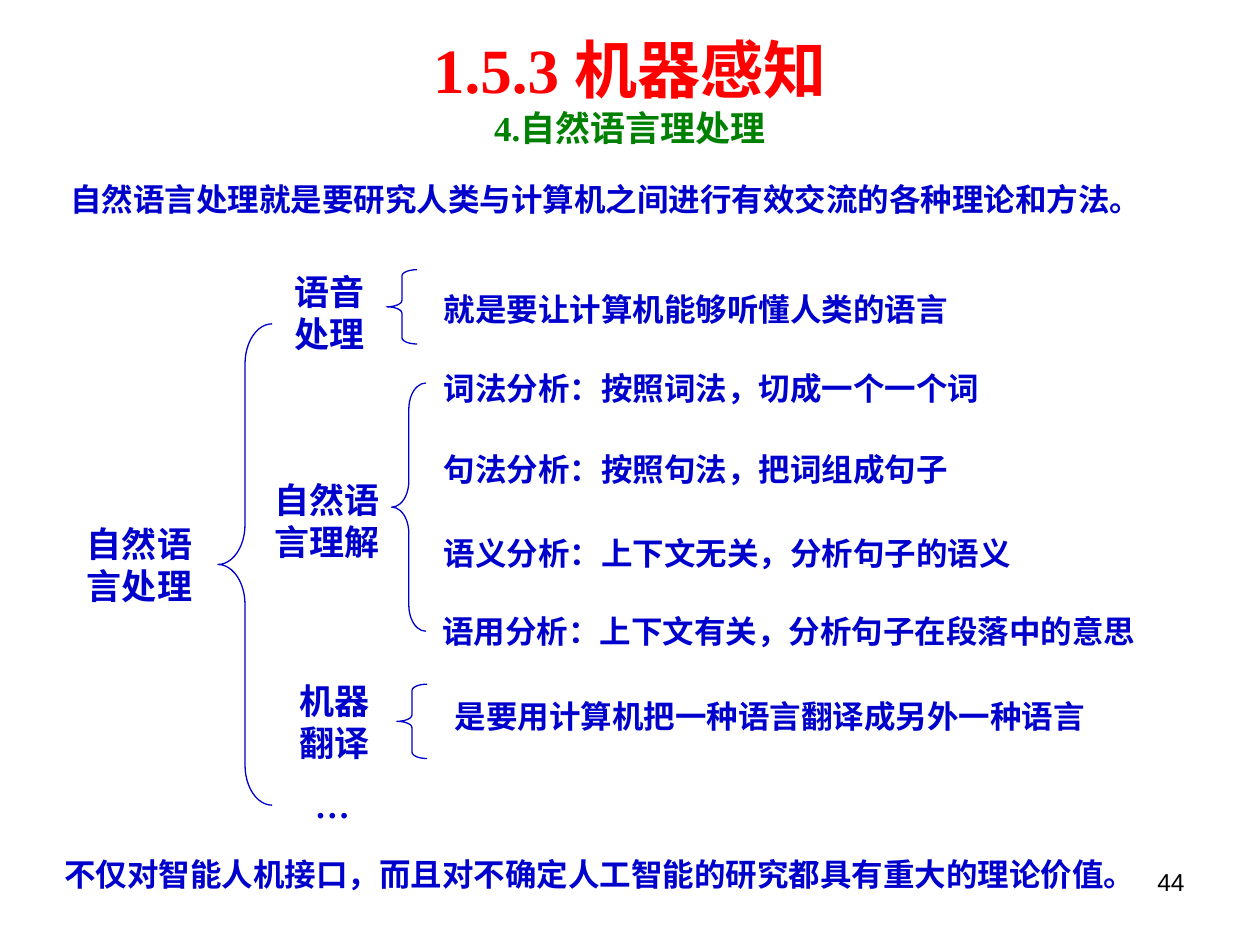
from pptx import Presentation
from pptx.dml.color import RGBColor
from pptx.enum.shapes import MSO_SHAPE
from pptx.enum.text import MSO_ANCHOR, MSO_AUTO_SIZE, PP_ALIGN
from pptx.util import Inches, Pt

LEFT_BRACE = MSO_SHAPE.LEFT_BRACE
MIDDLE = MSO_ANCHOR.MIDDLE
NO_FIT, GROW = MSO_AUTO_SIZE.NONE, MSO_AUTO_SIZE.SHAPE_TO_FIT_TEXT
CENTER, RIGHT = PP_ALIGN.CENTER, PP_ALIGN.RIGHT

THEME = {
    "serif": "Times New Roman", "sans": "Arial",
    "title": RGBColor(0xFF, 0, 0), "subtitle": RGBColor(0, 0x80, 0),
    "text": RGBColor(0, 0, 0xCC), "number": RGBColor(0, 0, 0),
    "title_size": 36, "subtitle_size": 20, "topic_size": 20,
    "text_size": 18, "number_size": 14, "brace_width": 0.75,
}

# Content
TITLE, SUBTITLE = "1.5.3 机器感知", "4.自然语言理处理"
PAGE_NUMBER = "44"

# Full-width sentences: text, box, line spacing
SENTENCES = [
    ("自然语言处理就是要研究人类与计算机之间进行有效交流的各种理论和方法。",
     (0.24, 1.35, 9.49, 0.43), 1.1),
    ("不仅对智能人机接口，而且对不确定人工智能的研究都具有重大的理论价值。",
     (0.19, 6.74, 8.94, 0.4), 1.0),
]

# Tree topics: text, box
TOPICS = [
    ("自然语言处理", (0.67, 4.14, 1.02, 0.69)),
    ("语音处理", (2.32, 2.14, 0.79, 0.69)),
    ("自然语言理解", (2.16, 3.79, 1.02, 0.69)),
    ("机器翻译", (2.36, 5.38, 0.63, 0.69)),
    ("…", (2.48, 6.21, 1.14, 0.36)),
]

# Tree explanations: text, left, top
EXPLANATIONS = [
    ("就是要让计算机能够听懂人类的语言", 3.5, 2.29),
    ("词法分析：按照词法，切成一个一个词", 3.5, 2.92),
    ("句法分析：按照句法，把词组成句子", 3.5, 3.56),
    ("语义分析：上下文无关，分析句子的语义", 3.5, 4.23),
    ("语用分析：上下文有关，分析句子在段落中的意思", 3.49, 4.85),
    ("是要用计算机把一种语言翻译成另外一种语言", 3.59, 5.52),
]
EXPLANATION_SIZE = (5.98, 0.32)

# Braces: box, curvature
BRACES = [
    ((1.73, 2.57, 0.43, 3.82), 0.74),
    ((3.07, 2.14, 0.24, 0.59), 0.21),
    ((3.11, 3.04, 0.27, 1.97), 0.77),
    ((3.15, 5.43, 0.24, 0.59), 0.21),
]


def inches(box):
    return [Inches(length) for length in box]


def style(font, size, color, name=THEME["serif"], bold=True):
    font.name, font.size, font.bold = name, Pt(size), bold
    font.color.rgb = color


def add_text(slide, text, box, size, tight=False):
    frame = slide.shapes.add_textbox(*inches(box)).text_frame
    frame.word_wrap = True
    frame.auto_size = GROW
    if tight:
        frame.margin_left = frame.margin_right = Inches(0.02)
        frame.margin_top = frame.margin_bottom = Inches(0.01)
    paragraph = frame.paragraphs[0]
    paragraph.text = text
    style(paragraph.font, size, THEME["text"])
    return paragraph


def add_title(slide):
    title = slide.shapes.title
    title.left, title.top, title.width, title.height = inches((0.33, 0.17, 9.34, 1.08))
    frame = title.text_frame
    frame.auto_size = NO_FIT
    frame.vertical_anchor = MIDDLE
    paragraph = frame.paragraphs[0]
    paragraph.alignment = CENTER
    heading = paragraph.add_run()
    heading.text = TITLE
    style(heading.font, THEME["title_size"], THEME["title"])
    paragraph.add_line_break()
    subheading = paragraph.add_run()
    subheading.text = SUBTITLE
    style(subheading.font, THEME["subtitle_size"], THEME["subtitle"])


def add_brace(slide, box, curvature):
    brace = slide.shapes.add_shape(LEFT_BRACE, *inches(box))
    brace.adjustments[0] = curvature
    brace.shadow.inherit = False
    brace.fill.background()
    brace.line.color.rgb = THEME["text"]
    brace.line.width = Pt(THEME["brace_width"])


def main():
    deck = Presentation()
    deck.slide_width, deck.slide_height = Inches(10), Inches(7.5)
    slide = deck.slides.add_slide(deck.slide_layouts[5])
    add_title(slide)

    # Opening and closing sentences, first line indented
    for text, box, spacing in SENTENCES:
        sentence = add_text(slide, text, box, THEME["text_size"])
        sentence.line_spacing = spacing
        sentence._p.get_or_add_pPr().set("indent", str(Inches(0.22)))

    # Tree
    for box, curvature in BRACES:
        add_brace(slide, box, curvature)
    for text, box in TOPICS:
        add_text(slide, text, box, THEME["topic_size"], tight=True)
    for text, left, top in EXPLANATIONS:
        add_text(slide, text, (left, top, *EXPLANATION_SIZE), THEME["text_size"], tight=True)

    # Page number
    number = add_text(slide, PAGE_NUMBER, (7.17, 6.83, 2.33, 0.52), THEME["number_size"])
    number.alignment = RIGHT
    style(number.font, THEME["number_size"], THEME["number"], THEME["sans"], bold=False)

    deck.save("out.pptx")


if __name__ == "__main__":
    main()
